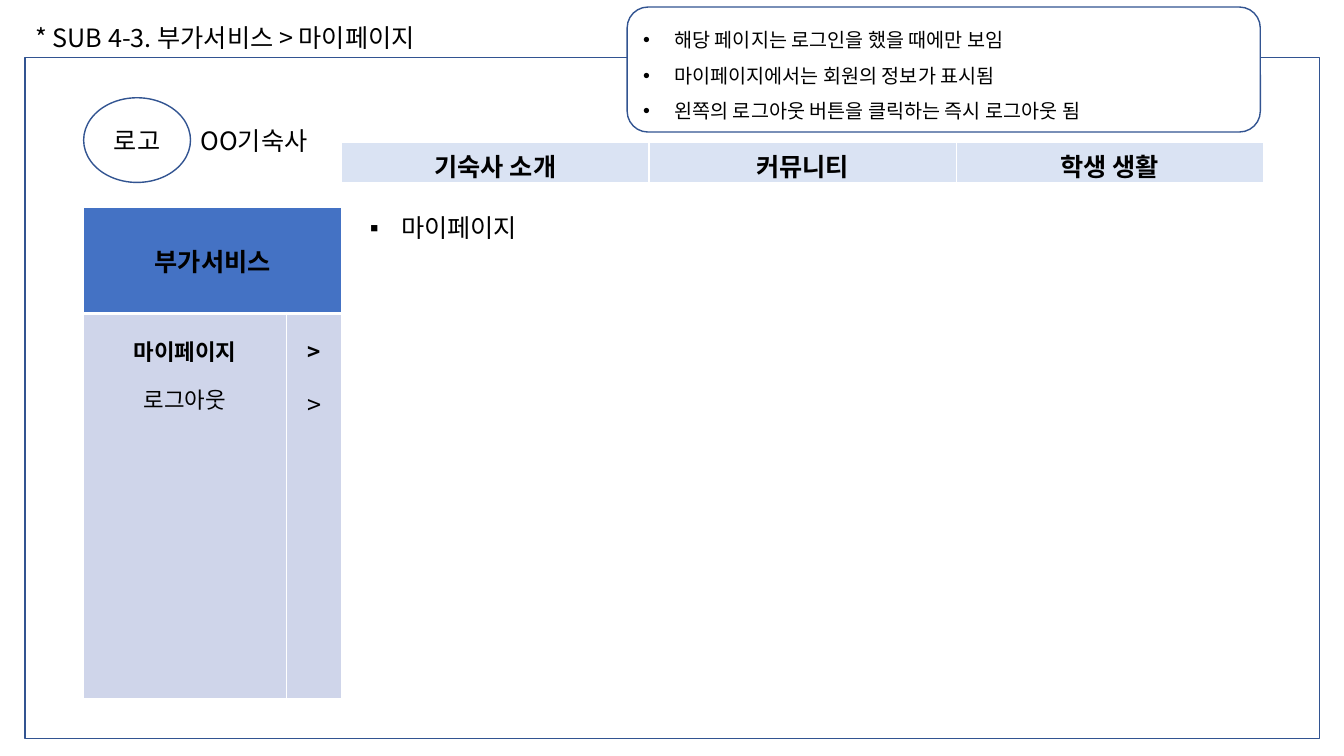
import dataclasses

import pptx
import pptx.dml.color
import pptx.enum.shapes
import pptx.enum.text
import pptx.oxml
import pptx.oxml.ns
import pptx.util
from pptx.util import Inches

ALIGN = pptx.enum.text.PP_ALIGN
ANCHOR = pptx.enum.text.MSO_ANCHOR
SHAPE = pptx.enum.shapes.MSO_SHAPE


@dataclasses.dataclass(frozen=True)
class Theme:
    font: str = "Noto Sans CJK KR"
    text: str = "000000"
    line: str = "325491"
    white: str = "FFFFFF"
    nav: str = "DAE3F3"
    menu_head: str = "4472C4"
    menu_body: str = "CFD5EA"
    large: int = 18
    medium: int = 16
    small: int = 14


THEME = Theme()


def rgb(value):
    return pptx.dml.color.RGBColor.from_string(value)


def xml(tag, content=""):
    namespace = pptx.oxml.ns.nsdecls("a")
    name = tag.split()[0]
    return pptx.oxml.parse_xml(f"<a:{tag} {namespace}>{content}</a:{name}>")


def write(frame, lines, align=ALIGN.LEFT, spacing=1.0, bullet=None):
    """Fill a text frame with (text, size, bold) lines."""
    for index, (text, size, bold) in enumerate(lines):
        para = frame.add_paragraph() if index else frame.paragraphs[0]
        para.alignment = align
        para.line_spacing = spacing
        if bullet:
            props = para._p.get_or_add_pPr()
            props.set("marL", str(Inches(0.31)))
            props.set("indent", str(Inches(-0.31)))
            props.append(xml('buFont typeface="Arial"'))
            props.append(xml(f'buChar char="{bullet}"'))
        span = para.add_run()
        span.text = text
        span.font.size = pptx.util.Pt(size)
        span.font.bold = bold
        span.font.color.rgb = rgb(THEME.text)
        span.font.name = THEME.font
        span._r.get_or_add_rPr().append(xml(f'ea typeface="{THEME.font}"'))


def add_outline(page, kind, box, fill=None):
    shape = page.shapes.add_shape(kind, *map(Inches, box))
    shape.shadow.inherit = False
    if fill:
        shape.fill.solid()
        shape.fill.fore_color.rgb = rgb(fill)
    else:
        shape.fill.background()
    shape.line.color.rgb = rgb(THEME.line)
    shape.line.width = pptx.util.Pt(1)
    shape.text_frame.vertical_anchor = ANCHOR.MIDDLE
    return shape


def add_text(page, box, lines, bullet=None):
    frame = page.shapes.add_textbox(*map(Inches, box)).text_frame
    frame.word_wrap = True
    write(frame, lines, bullet=bullet)


def add_grid(page, box, widths, heights):
    shape = page.shapes.add_table(len(heights), len(widths), *map(Inches, box))
    table = shape.table
    table.first_row = table.horz_banding = False
    for column, width in zip(table.columns, widths):
        column.width = Inches(width)
    for row, height in zip(table.rows, heights):
        row.height = Inches(height)
    return table


def style_cell(cell, fill, bottom=1):
    cell.fill.solid()
    cell.fill.fore_color.rgb = rgb(fill)
    props = cell._tc.get_or_add_tcPr()
    colour = f'<a:solidFill><a:srgbClr val="{THEME.white}"/></a:solidFill>'
    for index, side in enumerate("LRTB"):
        width = pptx.util.Pt(bottom if side == "B" else 1)
        props.insert(index, xml(f'ln{side} w="{width}"', colour))


def add_title(page, box, text):
    title = page.shapes.title
    title.left, title.top, title.width, title.height = map(Inches, box)
    frame = title.text_frame
    frame.auto_size = pptx.enum.text.MSO_AUTO_SIZE.NONE
    frame.word_wrap = False
    frame.vertical_anchor = ANCHOR.TOP
    write(frame, [(text, THEME.large, False)])


def add_brand(page, box):
    left, top, width, height = box
    logo = add_outline(page, SHAPE.OVAL, (left, top, 1.06, height))
    write(logo.text_frame, [("로고", THEME.large, False)], ALIGN.CENTER)
    add_text(page, (left + 1.06, top + 0.22, width - 1.06, 0.4),
             [("OO기숙사", THEME.large, False)])


def add_navigation(page, box, labels):
    widths = [box[2] / len(labels)] * len(labels)
    table = add_grid(page, box, widths, [box[3]])
    for cell, label in zip(table.rows[0].cells, labels):
        style_cell(cell, THEME.nav, bottom=3)
        write(cell.text_frame, [(label, THEME.large, True)], ALIGN.CENTER)


def add_side_menu(page, box):
    arrow_width, head_height = 0.55, 1.05
    table = add_grid(page, box, [box[2] - arrow_width, arrow_width],
                     [head_height, box[3] - head_height])
    # Heading across both columns
    head = table.cell(0, 0)
    head.merge(table.cell(0, 1))
    for cell in table.rows[0].cells:
        style_cell(cell, THEME.menu_head, bottom=3)
    head.vertical_anchor = ANCHOR.MIDDLE
    write(head.text_frame, [("부가서비스", THEME.large, True)], ALIGN.CENTER)
    # Entries and their arrows
    columns = [
        [("마이페이지", THEME.medium, True), ("로그아웃", THEME.medium, False)],
        [(">", THEME.medium, True), (">", THEME.large, False)],
    ]
    for cell, lines in zip(table.rows[1].cells, columns):
        style_cell(cell, THEME.menu_body)
        write(cell.text_frame, lines, ALIGN.CENTER, 1.5)


def add_notice(page, box, notes):
    notice = add_outline(page, SHAPE.ROUNDED_RECTANGLE, box, THEME.white)
    lines = [(note, THEME.small, False) for note in notes]
    write(notice.text_frame, lines, spacing=1.5, bullet="•")


def add_my_page(deck):
    page = deck.slides.add_slide(deck.slide_layouts[5])
    add_outline(page, SHAPE.RECTANGLE, (0.25, 0.57, 12.84, 6.76))
    add_title(page, (0.25, 0.17, 4.35, 0.4), "* SUB 4-3. 부가서비스 > 마이페이지")
    add_brand(page, (0.83, 0.97, 2.56, 0.84))
    add_navigation(page, (3.39, 1.41, 9.14, 0.41),
                   ["기숙사 소개", "커뮤니티", "학생 생활"])
    add_side_menu(page, (0.83, 2.06, 2.56, 4.87))
    # Content heading
    add_text(page, (3.57, 2.06, 2.74, 0.4),
             [("마이페이지", THEME.large, False)], bullet="▪")
    add_notice(page, (6.22, 0.07, 6.28, 1.24), [
        "해당 페이지는 로그인을 했을 때에만 보임",
        "마이페이지에서는 회원의 정보가 표시됨",
        "왼쪽의 로그아웃 버튼을 클릭하는 즉시 로그아웃 됨",
    ])


def main():
    deck = pptx.Presentation()
    deck.slide_width = Inches(13.33)
    deck.slide_height = Inches(7.5)
    add_my_page(deck)
    deck.save("out.pptx")


if __name__ == "__main__":
    main()
